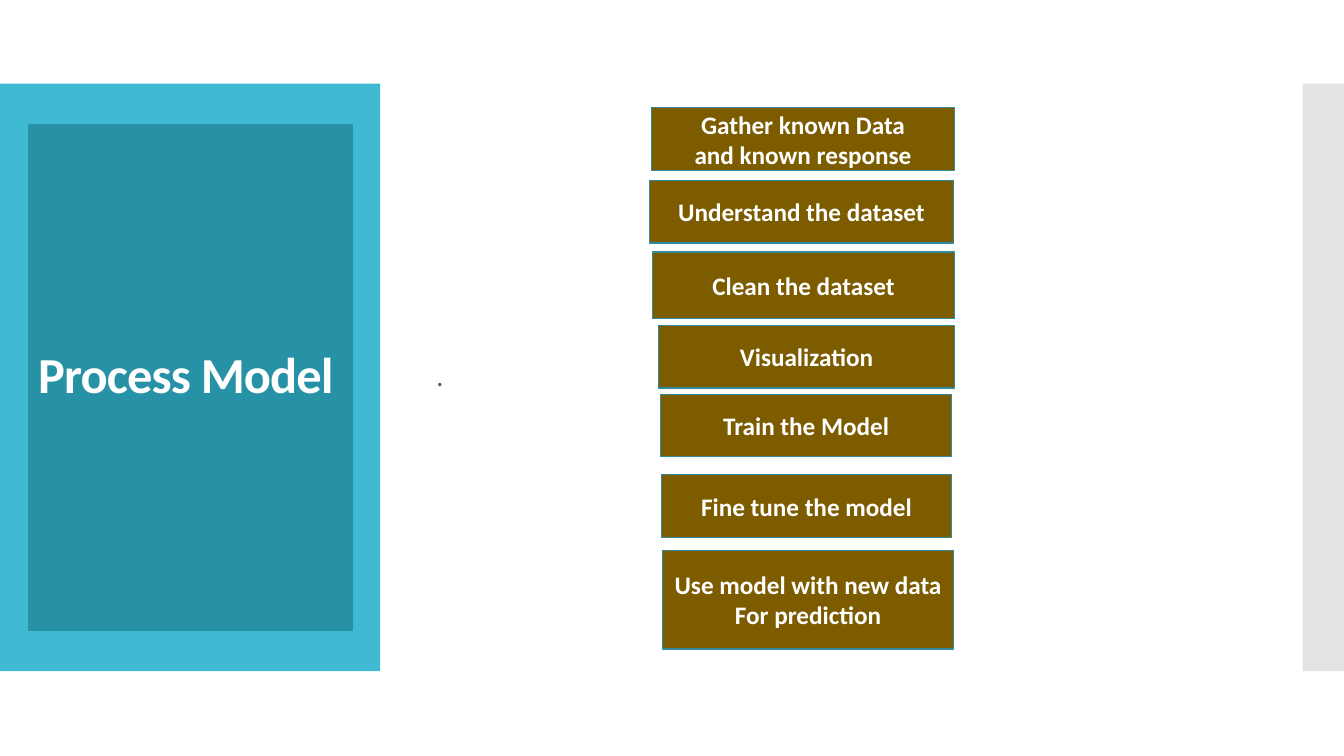
from dataclasses import dataclass
from lxml import etree
from pptx import Presentation
from pptx.dml.color import RGBColor
from pptx.enum import shapes, text
from pptx.oxml import ns
from pptx.util import Inches, Pt


@dataclass(frozen=True)
class Theme:
    font: str = "Calibri"
    panel: str = "40BAD2"
    title_fill: str = "2791A6"
    edge: str = "C8C8C8"
    step_fill: str = "7D5C00"
    step_line: str = "2F8A9B"
    white: str = "FFFFFF"
    body: str = "595959"
    title_size: int = 36
    body_size: int = 20
    step_size: int = 18


theme = Theme()
deck = Presentation()
deck.slide_width, deck.slide_height = Inches(13.33), Inches(7.5)
slide = deck.slides.add_slide(deck.slide_layouts[6])


def add_block(left, top, width, height, fill):
    block = slide.shapes.add_shape(
        shapes.MSO_SHAPE.RECTANGLE,
        Inches(left), Inches(top), Inches(width), Inches(height))
    block.shadow.inherit = False
    block.fill.solid()
    block.fill.fore_color.rgb = RGBColor.from_string(fill)
    block.line.fill.background()
    return block


def write(holder, lines, size, color, bold, align):
    frame = holder.text_frame
    frame.word_wrap = True
    frame.vertical_anchor = text.MSO_ANCHOR.MIDDLE
    frame.text = "\n".join(lines)
    for paragraph in frame.paragraphs:
        paragraph.alignment = align
        paragraph.font.name = theme.font
        paragraph.font.size = Pt(size)
        paragraph.font.bold = bold
        paragraph.font.color.rgb = RGBColor.from_string(color)
    return frame.paragraphs[0]


# Side panel and half-transparent right edge
add_block(0, 0.83, 3.77, 5.83, theme.panel)
edge = add_block(12.92, 0.83, 0.41, 5.83, theme.edge)
edge_color = edge.fill._xPr.find(".//" + ns.qn("a:srgbClr"))
etree.SubElement(edge_color, ns.qn("a:alpha"), val="50000")

# Title
title = add_block(0.28, 1.23, 3.22, 5.03, theme.title_fill)
heading = write(title, ["Process Model"], theme.title_size, theme.white,
                True, text.PP_ALIGN.LEFT)
heading.line_spacing = 0.9
heading.runs[0]._r.get_or_add_rPr().set("spc", "-60")

# Body text
body = slide.shapes.add_textbox(Inches(4.23), Inches(0.94), Inches(8), Inches(5.6))
dot = write(body, ["."], theme.body_size, theme.body, False, text.PP_ALIGN.LEFT)
dot.line_spacing = 0.9
dot.space_before = Pt(12)

# Process steps: left, top, width, height, lines
steps = [
    (6.46, 1.07, 3.01, 0.62, ["Gather known Data", "and known response"]),
    (6.44, 1.79, 3.02, 0.62, ["Understand the dataset"]),
    (6.47, 2.5, 3, 0.66, ["Clean the dataset"]),
    (6.53, 3.23, 2.94, 0.62, ["Visualization"]),
    (6.55, 3.91, 2.89, 0.62, ["Train the Model"]),
    (6.56, 4.71, 2.88, 0.62, ["Fine tune the model"]),
    (6.57, 5.46, 2.89, 0.98, ["Use model with new data", "For prediction"]),
]
for left, top, width, height, lines in steps:
    step = add_block(left, top, width, height, theme.step_fill)
    step.line.color.rgb = RGBColor.from_string(theme.step_line)
    step.line.width = Pt(0.85)
    write(step, lines, theme.step_size, theme.white, True, text.PP_ALIGN.CENTER)

deck.save("out.pptx")
